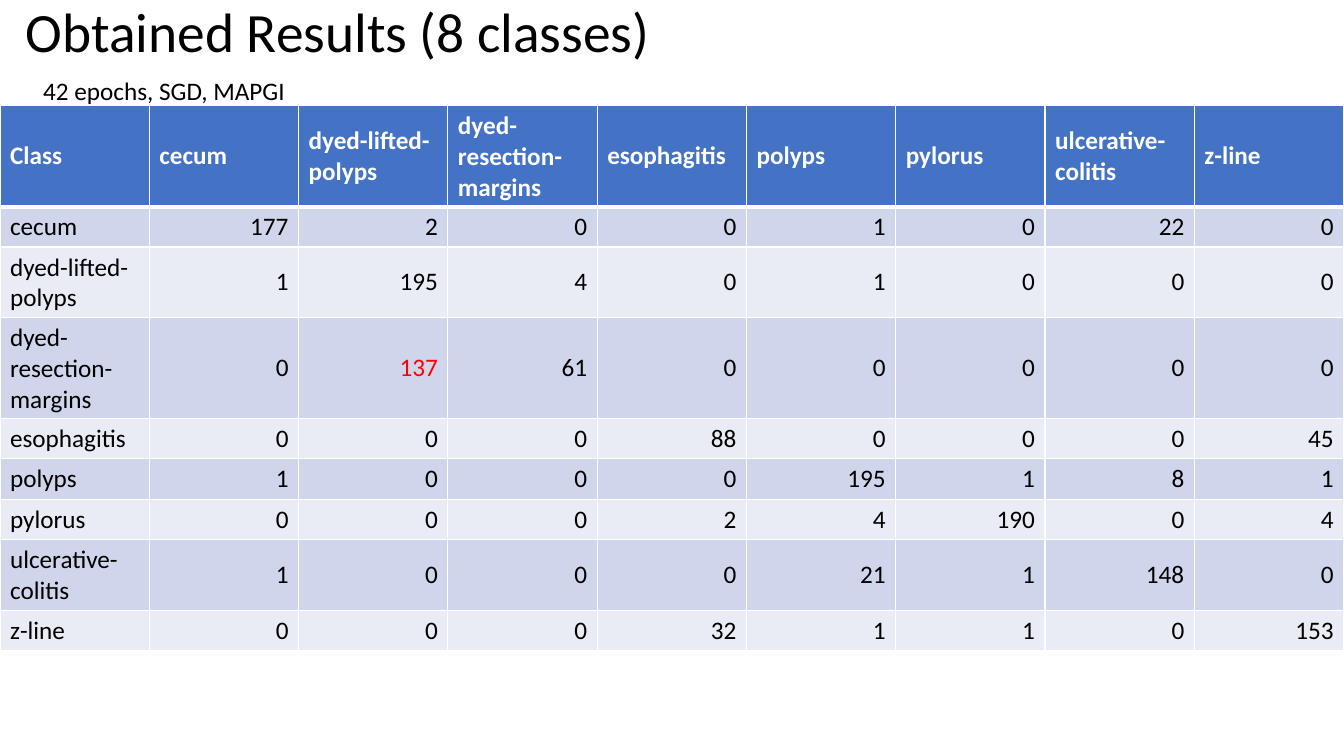
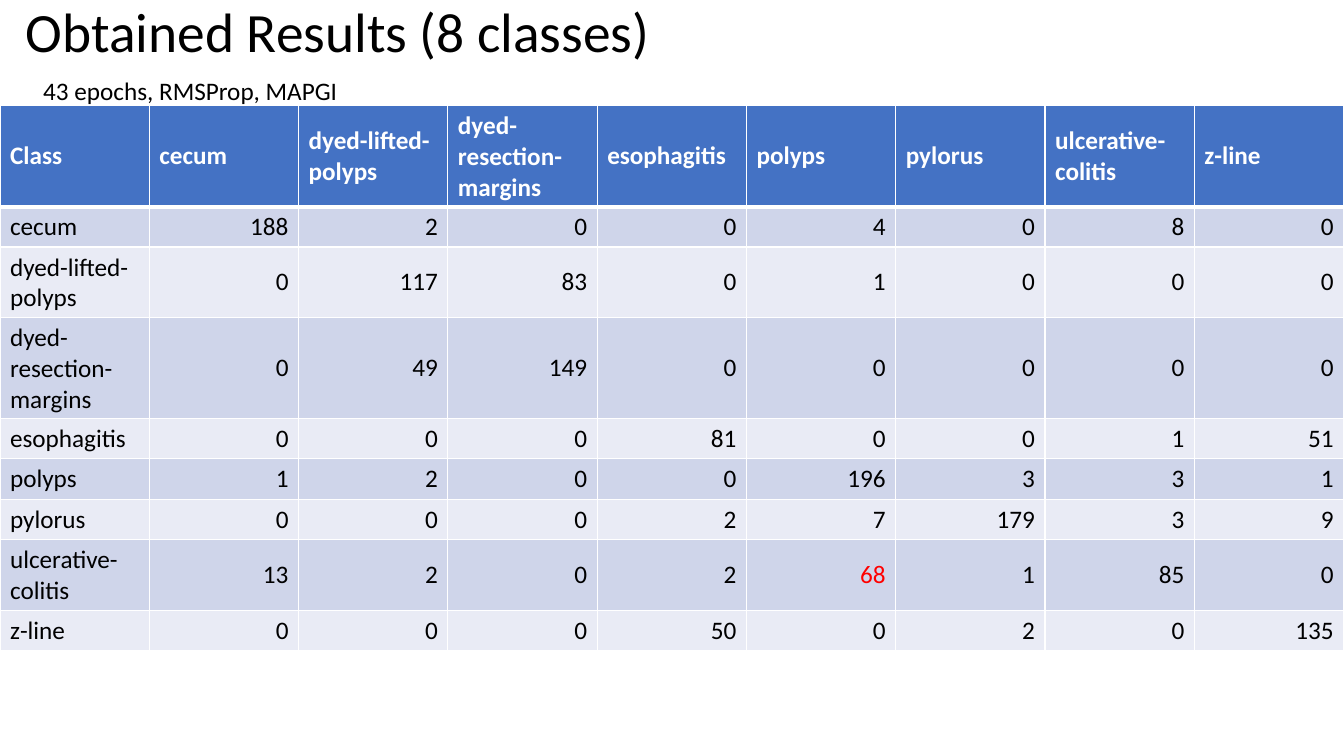
from lxml.etree import SubElement
from pptx import Presentation
from pptx.dml.color import RGBColor
from pptx.enum.text import MSO_ANCHOR as ANCHOR, PP_ALIGN as ALIGN
from pptx.oxml.ns import qn
from pptx.util import Pt

WHITE = RGBColor(0xFF, 0xFF, 0xFF)
BLACK = RGBColor(0x00, 0x00, 0x00)
RED = RGBColor(0xFF, 0x00, 0x00)
HEADER = RGBColor(0x44, 0x72, 0xC4)
BANDS = [RGBColor(0xE9, 0xEB, 0xF5), RGBColor(0xCF, 0xD5, 0xEA)]

FONT = "Calibri"
WIDTH, HEIGHT = 960, 540
TITLE = "Obtained Results (8 classes)"
TITLE_BOX = (11.5, 0, 828, 49.7)
CAPTION_BOX = (23.8, 50.4, 232, 28.8)
TABLE_BOX = (0, 75.6, WIDTH, 388.8)
PADDING, LINE_HEIGHT = 7.2, 21.6

CLASSES = ["cecum", "dyed-lifted-polyps", "dyed-resection-margins", "esophagitis",
           "polyps", "pylorus", "ulcerative-colitis", "z-line"]
LABEL_LINES = [1, 2, 3, 1, 1, 1, 2, 1]

RUNS = [
    ("42 epochs, SGD, MAPGI",
     [[177, 2, 0, 0, 1, 0, 22, 0],
      [1, 195, 4, 0, 1, 0, 0, 0],
      [0, 137, 61, 0, 0, 0, 0, 0],
      [0, 0, 0, 88, 0, 0, 0, 45],
      [1, 0, 0, 0, 195, 1, 8, 1],
      [0, 0, 0, 2, 4, 190, 0, 4],
      [1, 0, 0, 0, 21, 1, 148, 0],
      [0, 0, 0, 32, 1, 1, 0, 153]],
     ("dyed-resection-margins", "dyed-lifted-polyps")),
    ("43 epochs, RMSProp, MAPGI",
     [[188, 2, 0, 0, 4, 0, 8, 0],
      [0, 117, 83, 0, 1, 0, 0, 0],
      [0, 49, 149, 0, 0, 0, 0, 0],
      [0, 0, 0, 81, 0, 0, 1, 51],
      [1, 2, 0, 0, 196, 3, 3, 1],
      [0, 0, 0, 2, 7, 179, 3, 9],
      [13, 2, 0, 2, 68, 1, 85, 0],
      [0, 0, 0, 50, 0, 2, 0, 135]],
     ("ulcerative-colitis", "polyps")),
]


def write(tf, text, size=18, color=BLACK, bold=False, align=ALIGN.LEFT):
    """Put one styled paragraph in a text frame and return it."""
    p = tf.paragraphs[0]
    p.text = text
    p.alignment = align
    p.font.name, p.font.size = FONT, Pt(size)
    p.font.bold = bold
    p.font.color.rgb = color
    return p


def add_text(s, box, text, size=18, anchor=ANCHOR.TOP):
    """Add a wrapping text box and return its paragraph."""
    tf = s.shapes.add_textbox(*map(Pt, box)).text_frame
    tf.word_wrap = True
    tf.vertical_anchor = anchor
    return write(tf, text, size)


def style_cell(cell, fill, bottom=1):
    """Give a cell its fill, middle anchor and white borders."""
    cell.vertical_anchor = ANCHOR.MIDDLE
    tc_pr = cell._tc.get_or_add_tcPr()
    for edge, width in (("L", 1), ("R", 1), ("B", bottom)):
        ln = SubElement(tc_pr, qn(f"a:ln{edge}"), w=str(Pt(width)))
        SubElement(SubElement(ln, qn("a:solidFill")), qn("a:srgbClr"), val=str(WHITE))
    cell.fill.solid()
    cell.fill.fore_color.rgb = fill


def add_matrix(s, box, counts, confused):
    """Add the confusion matrix, with one confused pair of classes in red."""
    size = len(CLASSES) + 1
    table = s.shapes.add_table(size, size, *map(Pt, box)).table
    for col in table.columns:
        col.width = Pt(box[2] / size)
    for row, lines in zip(table.rows, [max(LABEL_LINES)] + LABEL_LINES):
        row.height = Pt(PADDING + LINE_HEIGHT * lines)

    for c, name in enumerate(["Class"] + CLASSES):
        cell = table.cell(0, c)
        style_cell(cell, HEADER, bottom=3)
        write(cell.text_frame, name, color=WHITE, bold=True)

    for r, (actual, values) in enumerate(zip(CLASSES, counts), 1):
        for c, value in enumerate([actual] + values):
            cell = table.cell(r, c)
            style_cell(cell, BANDS[r % 2])
            marked = c > 0 and (actual, CLASSES[c - 1]) == confused
            write(cell.text_frame, str(value), color=RED if marked else BLACK,
                  align=ALIGN.RIGHT if c else ALIGN.LEFT)


def add_result_slide(prs, caption, counts, confused):
    """Add a slide with the title, the training setup and its matrix."""
    s = prs.slides.add_slide(prs.slide_layouts[6])
    p = add_text(s, TITLE_BOX, TITLE, 39.6, ANCHOR.MIDDLE)
    p.line_spacing = 0.9
    add_text(s, CAPTION_BOX, caption)
    add_matrix(s, TABLE_BOX, counts, confused)


def main():
    """Build and save the presentation."""
    prs = Presentation()
    prs.slide_width, prs.slide_height = Pt(WIDTH), Pt(HEIGHT)
    for run in RUNS:
        add_result_slide(prs, *run)
    prs.save("out.pptx")


if __name__ == "__main__":
    main()
